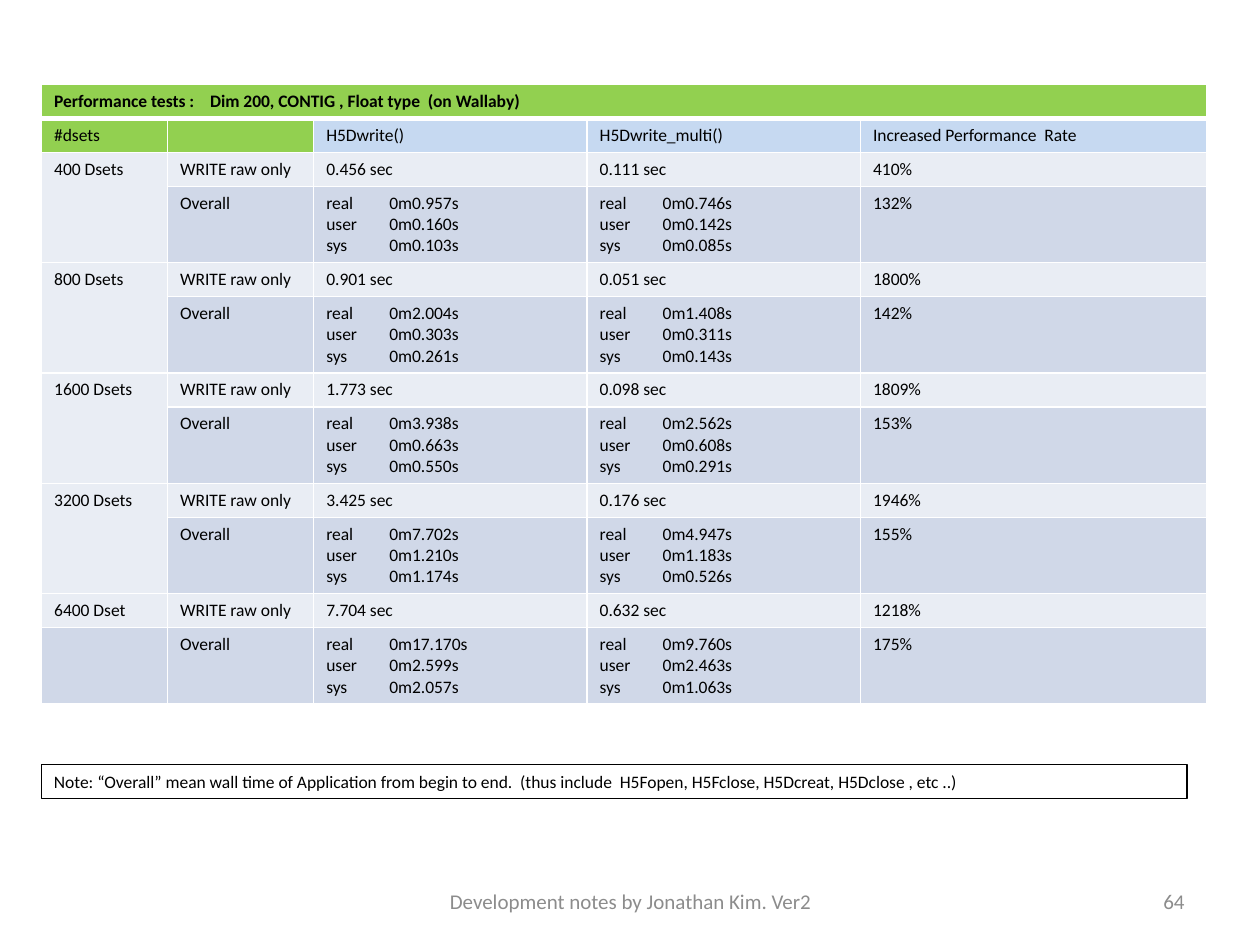
"""Build a slide with a table of HDF5 write performance tests."""
from lxml import etree
from pptx import Presentation
from pptx.dml.color import RGBColor
from pptx.enum.shapes import MSO_SHAPE
from pptx.enum.text import MSO_ANCHOR, PP_ALIGN
from pptx.oxml.ns import qn
from pptx.util import Inches, Pt

RECT = MSO_SHAPE.RECTANGLE
TOP, MIDDLE = MSO_ANCHOR.TOP, MSO_ANCHOR.MIDDLE
LEFT, CENTER, RIGHT = PP_ALIGN.LEFT, PP_ALIGN.CENTER, PP_ALIGN.RIGHT

COLORS = {
    "green": "92D050",
    "blue": "C6D9F1",
    "light": "E9EDF4",
    "dark": "D0D8E8",
    "white": "FFFFFF",
    "black": "000000",
    "gray": "8C8C8C",
}

TITLE = "Performance tests :    Dim 200, CONTIG , Float type  (on Wallaby)"
HEADERS = ["#dsets", "", "H5Dwrite()", "H5Dwrite_multi()", "Increased Performance  Rate"]
TIMERS = ["real", "user", "sys"]
TESTS = [
    ("400 Dsets", "0.456", "0.111", "410%",
     ["0.957", "0.160", "0.103"], ["0.746", "0.142", "0.085"], "132%"),
    ("800 Dsets", "0.901", "0.051", "1800%",
     ["2.004", "0.303", "0.261"], ["1.408", "0.311", "0.143"], "142%"),
    ("1600 Dsets", "1.773", "0.098", "1809%",
     ["3.938", "0.663", "0.550"], ["2.562", "0.608", "0.291"], "153%"),
    ("3200 Dsets", "3.425", "0.176", "1946%",
     ["7.702", "1.210", "1.174"], ["4.947", "1.183", "0.526"], "155%"),
    ("6400 Dset", "7.704", "0.632", "1218%",
     ["17.170", "2.599", "2.057"], ["9.760", "2.463", "1.063"], "175%"),
]
FOOTERS = [
    (3.42, 3.17, CENTER, "Development notes by Jonathan Kim. Ver2"),
    (7.17, 2.33, RIGHT, "64"),
]


def write(tf, lines, size=10, color="black", bold=False, align=LEFT):
    for i, line in enumerate(lines):
        p = tf.paragraphs[0] if i == 0 else tf.add_paragraph()
        p.alignment = align
        r = p.add_run()
        r.text = line
        r.font.name = "Calibri"
        r.font.size = Pt(size)
        r.font.bold = bold
        r.font.color.rgb = RGBColor.from_string(COLORS[color])


def add_border(cell, side, width):
    ln = etree.SubElement(cell._tc.get_or_add_tcPr(), qn(f"a:ln{side}"), w=str(Pt(width)))
    fill = etree.SubElement(ln, qn("a:solidFill"))
    etree.SubElement(fill, qn("a:srgbClr"), val=COLORS["white"])


prs = Presentation()
prs.slide_width, prs.slide_height = Inches(10), Inches(7.5)
s = prs.slides.add_slide(prs.slide_layouts[6])

rows = [
    ([[TITLE], [], [], [], []], ["green"] * 5),
    ([[h] if h else [] for h in HEADERS], ["green"] * 2 + ["blue"] * 3),
]
for name, single, multi, rate, single_times, multi_times, overall_rate in TESTS:
    rows.append(([[name], ["WRITE raw only"], [f"{single} sec"], [f"{multi} sec"], [rate]],
                 ["light"] * 5))
    times = [[f"{t}\t0m{v}s" for t, v in zip(TIMERS, values)]
             for values in (single_times, multi_times)]
    rows.append(([[], ["Overall"], *times, [overall_rate]], ["dark"] * 5))

heights = [0.27, 0.27] + [0.27, 0.6] * len(TESTS)
sp = s.shapes.add_table(len(rows), 5, Inches(0.33), Inches(0.67),
                        Inches(9.25), Inches(sum(heights)))
table = sp.table
table.first_row = False
table.horz_banding = False
for column, width in zip(table.columns, [1, 1.16, 2.17, 2.17, 2.75]):
    column.width = Inches(width)

for i, (texts, fills) in enumerate(rows):
    table.rows[i].height = Inches(heights[i])
    for j, (lines, fill) in enumerate(zip(texts, fills)):
        cell = table.cell(i, j)
        for side in "LRTB":
            thick = (i, side) in [(0, "B"), (1, "T")]
            add_border(cell, side, 3 if thick else 1)
        cell.fill.solid()
        cell.fill.fore_color.rgb = RGBColor.from_string(COLORS[fill])
        write(cell.text_frame, lines, bold=i == 0)
        if not lines:
            p = cell.text_frame.paragraphs[0]
            etree.SubElement(p._p, qn("a:endParaRPr"), sz="1000")

table.cell(0, 0).merge(table.cell(0, 4))
for i in range(2, len(rows) - 2, 2):
    table.cell(i, 0).merge(table.cell(i + 1, 0))

sp = s.shapes.add_shape(RECT, Inches(0.33), Inches(6.07), Inches(9.09), Inches(0.27))
sp.shadow.inherit = False
sp.fill.background()
sp.line.color.rgb = RGBColor.from_string(COLORS["black"])
sp.line.width = Pt(0.75)
tf = sp.text_frame
tf.word_wrap = True
tf.vertical_anchor = TOP
write(tf, ["Note: “Overall” mean wall time of Application from begin to end.  "
           "(thus include  H5Fopen, H5Fclose, H5Dcreat, H5Dclose , etc ..)"])

for left, width, align, text in FOOTERS:
    sp = s.shapes.add_textbox(Inches(left), Inches(6.95), Inches(width), Inches(0.4))
    tf = sp.text_frame
    tf.word_wrap = True
    tf.vertical_anchor = MIDDLE
    write(tf, [text], size=12, color="gray", align=align)

prs.save("out.pptx")
